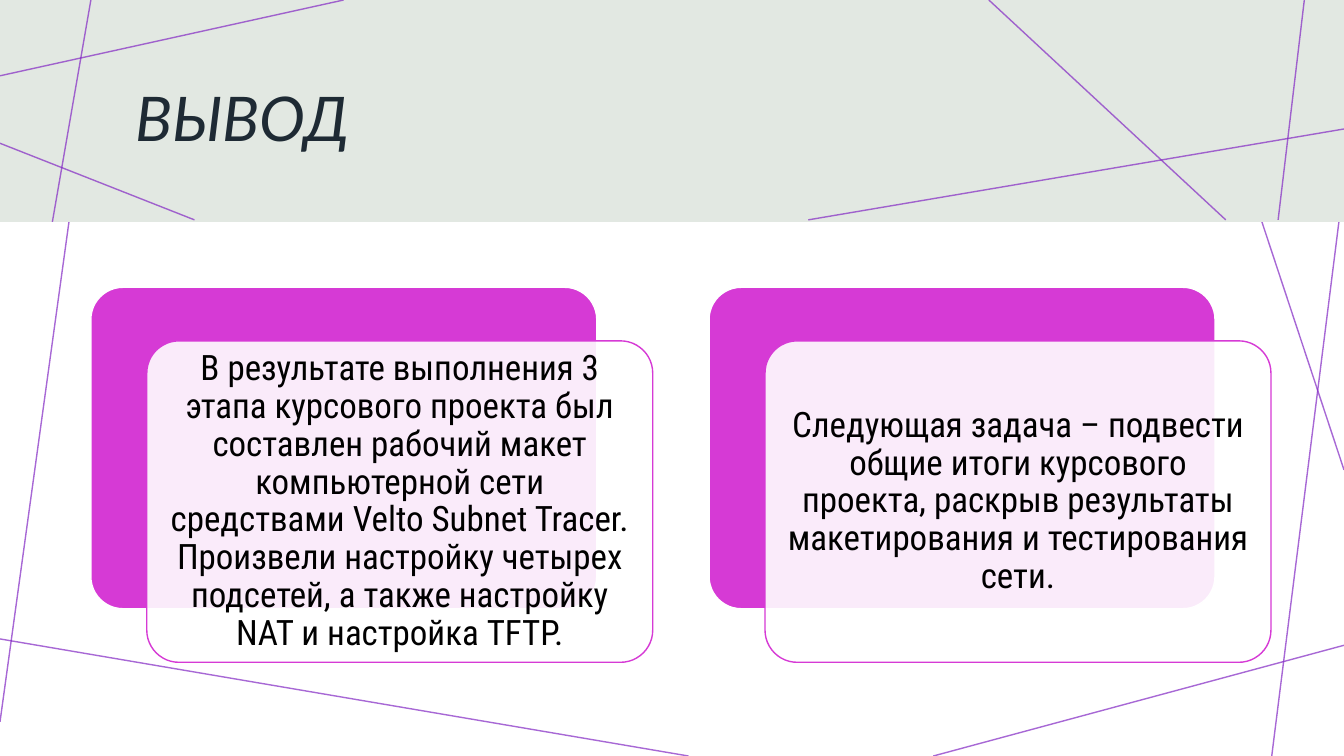
from typing import NamedTuple

import pptx
import pptx.dml.color
import pptx.enum.dml
import pptx.enum.shapes
import pptx.enum.text
import pptx.oxml
import pptx.oxml.ns
import pptx.util
from pptx.util import Cm

RGBColor = pptx.dml.color.RGBColor
Shapes = pptx.enum.shapes.MSO_SHAPE
Align = pptx.enum.text.PP_ALIGN

VIOLET = RGBColor(0x83, 0x28, 0xC4)
MAGENTA = RGBColor(0xD6, 0x3A, 0xD5)
SAGE = RGBColor(0xE2, 0xE8, 0xE2)
NAVY = RGBColor(0x1E, 0x2A, 0x34)
WHITE = RGBColor(0xFF, 0xFF, 0xFF)
BLACK = RGBColor(0, 0, 0)

# Lengths in centimetres
WIDTH, HEIGHT = 33.87, 19.05
BAND_HEIGHT = 5.59
CARD_LEFT, CARD_TOP, CARD_STEP = 2.29, 7.24, 15.58
CARD_WIDTH, CARD_HEIGHT = 12.75, 8.1
FRONT_SHIFT_X, FRONT_SHIFT_Y = 1.41, 1.35


class Ray(NamedTuple):
    x1: float
    y1: float
    x2: float
    y2: float


class Box(NamedTuple):
    left: float
    top: float
    width: float
    height: float


CORNER_RAY = Ray(8.66, 0, 0, 1.91)
PAGE_RAYS = [
    CORNER_RAY,
    Ray(2.51, 0, 0, 18.19),
    Ray(17.35, HEIGHT, 0, 16.1),
    Ray(WIDTH, 16.26, 23.52, HEIGHT),
    Ray(WIDTH, 4.57, 32.05, HEIGHT),
    Ray(WIDTH, 11.84, 29.95, 0),
    Ray(WIDTH, 2.57, 18.14, 0),
]
BAND_RAYS = [
    CORNER_RAY,
    Ray(2.29, 0, 1.32, BAND_HEIGHT),
    Ray(4.9, 5.54, 0, 3.61),
    Ray(WIDTH, 3.25, 20.37, 5.54),
    Ray(30.89, 5.54, 24.92, 0),
    Ray(32.87, 0, 32.21, 5.54),
]
CONCLUSIONS = [
    "В результате выполнения 3 этапа курсового проекта был составлен рабочий "
    "макет компьютерной сети средствами Velto Subnet Tracer. Произвели "
    "настройку четырех подсетей, а также настройку NAT и настройка TFTP.",
    "Следующая задача – подвести общие итоги курсового проекта, раскрыв "
    "результаты макетирования и тестирования сети.",
]


def apply(target, values: dict) -> None:
    for name, value in values.items():
        setattr(target, name, value)


def set_opacity(element, percent: int) -> None:
    color = element.find(".//" + pptx.oxml.ns.qn("a:srgbClr"))
    alpha = pptx.oxml.parse_xml(
        f'<a:alpha {pptx.oxml.ns.nsdecls("a")} val="{percent * 1000}"/>')
    color.append(alpha)


def draw_rays(page, rays: list[Ray]) -> None:
    for ray in rays:
        line = page.shapes.add_connector(
            pptx.enum.shapes.MSO_CONNECTOR.STRAIGHT, *map(Cm, ray))
        line.line.color.rgb = VIOLET
        line.line.width = pptx.util.Pt(1)
        properties = line.element.spPr
        set_opacity(properties, 70)
        properties.append(pptx.oxml.parse_xml(
            f'<a:effectLst {pptx.oxml.ns.nsdecls("a")}/>'))


def draw_box(page, kind, box: Box, fill: RGBColor, outline: RGBColor | None = None):
    shape = page.shapes.add_shape(kind, *map(Cm, box))
    shape.shadow.inherit = False
    shape.fill.solid()
    shape.fill.fore_color.rgb = fill
    if outline is None:
        shape.line.fill.background()
    else:
        shape.line.color.rgb = outline
        shape.line.width = pptx.util.Pt(1)
    return shape


def write(shape, text: str, align, font: dict, color: RGBColor, frame: dict) -> None:
    apply(shape.text_frame, {
        "word_wrap": True,
        "auto_size": pptx.enum.text.MSO_AUTO_SIZE.NONE,
        "vertical_anchor": pptx.enum.text.MSO_ANCHOR.MIDDLE,
        **frame,
    })
    para = shape.text_frame.paragraphs[0]
    apply(para, {"alignment": align, "line_spacing": 0.9, "space_before": 0})
    span = para.add_run()
    span.text = text
    apply(span.font, font)
    span.font.color.rgb = color


def draw_card(page, left: float, text: str) -> None:
    back_box = Box(left, CARD_TOP, CARD_WIDTH, CARD_HEIGHT)
    front_box = back_box._replace(left=left + FRONT_SHIFT_X,
                                  top=CARD_TOP + FRONT_SHIFT_Y)
    kind = Shapes.ROUNDED_RECTANGLE
    back = draw_box(page, kind, back_box, MAGENTA, WHITE)
    front = draw_box(page, kind, front_box, WHITE, MAGENTA)
    for shape in (back, front):
        shape.adjustments[0] = 0.1
    set_opacity(front.element.spPr, 90)
    margins = {f"margin_{side}": Cm(0.25) for side in ("left", "top", "right", "bottom")}
    write(front, text, Align.CENTER,
          {"name": "Roboto Condensed", "size": pptx.util.Pt(25)}, BLACK, margins)


def main() -> None:
    deck = pptx.Presentation()
    apply(deck, {"slide_width": Cm(WIDTH), "slide_height": Cm(HEIGHT)})
    page = deck.slides.add_slide(deck.slide_layouts[5])

    # Background and header band
    draw_rays(page, PAGE_RAYS)
    draw_box(page, Shapes.RECTANGLE, Box(0, 0, WIDTH, BAND_HEIGHT), SAGE)
    draw_rays(page, BAND_RAYS)

    # Title, raised above the band
    title = page.shapes.title
    title.element.getparent().append(title.element)
    apply(title, {"left": Cm(3.15), "top": Cm(1.37),
                  "width": Cm(27.97), "height": Cm(3.4)})
    write(title, "ВЫВОД", Align.LEFT,
          {"name": "Lato", "size": pptx.util.Pt(44), "italic": True}, NAVY, {})

    # Conclusion cards
    for index, text in enumerate(CONCLUSIONS):
        draw_card(page, CARD_LEFT + index * CARD_STEP, text)

    deck.save("out.pptx")


if __name__ == "__main__":
    main()
